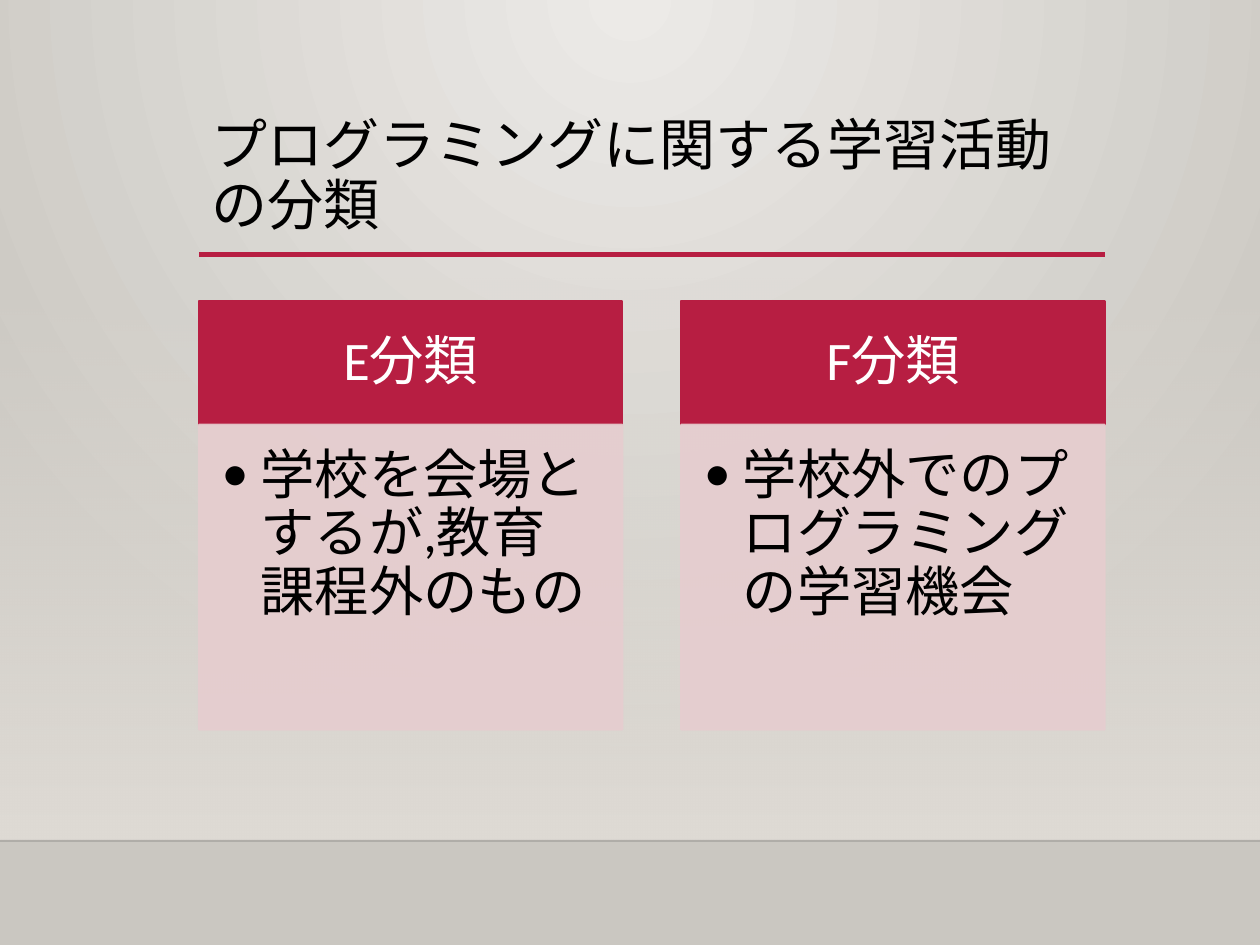
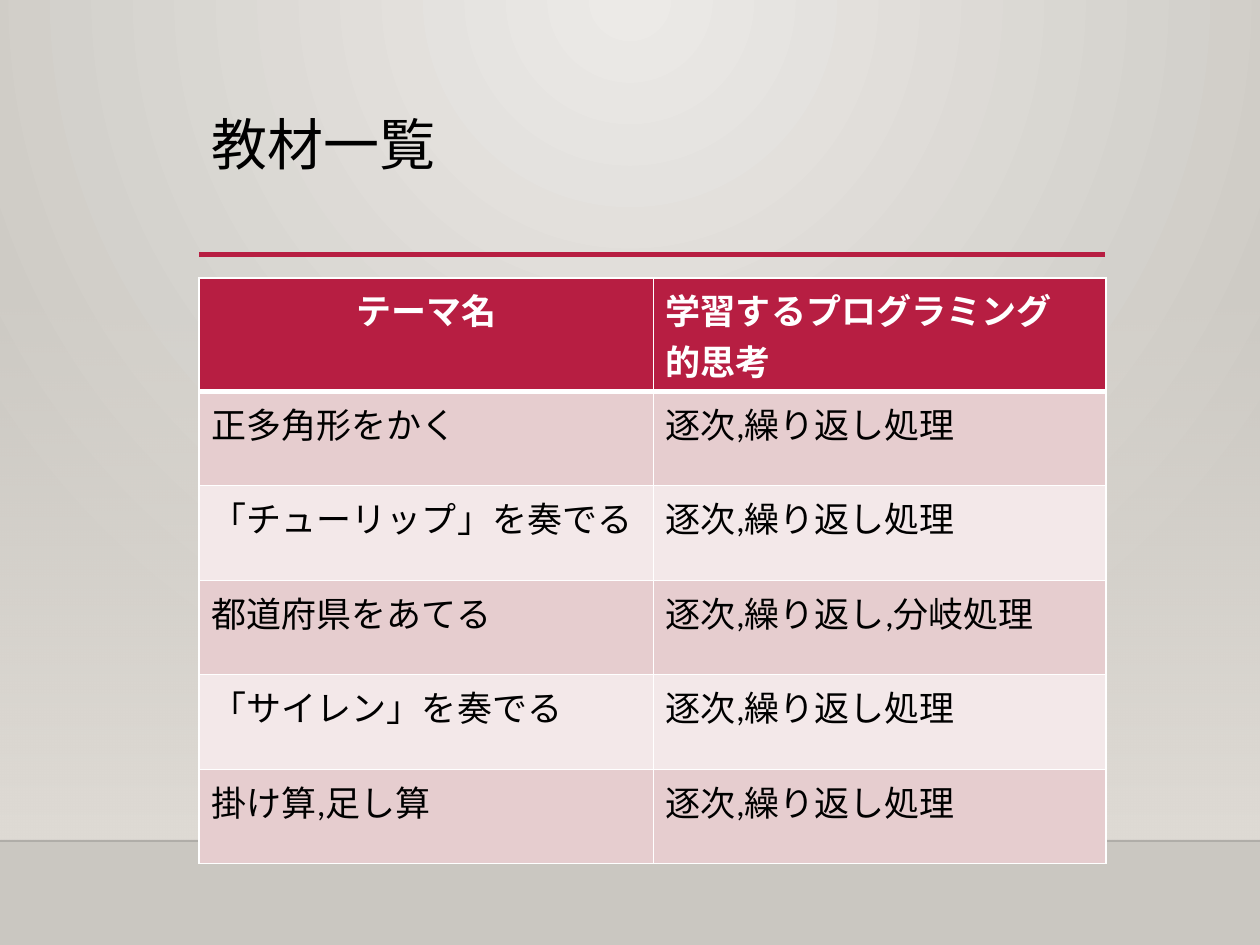
from dataclasses import dataclass

from lxml import etree
from pptx import Presentation
from pptx.dml.color import RGBColor
from pptx.enum.lang import MSO_LANGUAGE_ID
from pptx.enum.shapes import MSO_CONNECTOR, MSO_SHAPE
from pptx.enum.text import MSO_ANCHOR, PP_ALIGN
from pptx.oxml.ns import qn
from pptx.util import Inches, Pt

RECTANGLE = MSO_SHAPE.RECTANGLE
STRAIGHT = MSO_CONNECTOR.STRAIGHT
LEFT, CENTER = PP_ALIGN.LEFT, PP_ALIGN.CENTER
TOP, MIDDLE = MSO_ANCHOR.TOP, MSO_ANCHOR.MIDDLE
JAPANESE = MSO_LANGUAGE_ID.JAPANESE


@dataclass(frozen=True)
class Theme:
    font: str = "Calibri"
    title_size: int = 32
    card_size: int = 31
    table_size: int = 20
    line_spacing: float = 0.9
    accent: str = "B71E42"
    tint: str = "E6CDCF"
    pale_tint: str = "F3E8E9"
    ink: str = "000000"
    white: str = "FFFFFF"
    wall_center: str = "ECEAE7"
    wall_edge: str = "CAC7C1"
    glow: str = "DFDBD5"


THEME = Theme()
SLIDE_WIDTH, SLIDE_HEIGHT = Inches(10), Inches(7.5)


def across(percent):
    return round(SLIDE_WIDTH * percent / 100)


def down(percent):
    return round(SLIDE_HEIGHT * percent / 100)


CONTENT_LEFT, CONTENT_WIDTH = across(15.8), across(71.87)
CONTENT_RIGHT = CONTENT_LEFT + CONTENT_WIDTH
TITLE_TOP, TITLE_HEIGHT = down(11.73), down(15.33)
RULE_TOP = down(26.93)
GLOW_TOP, TABLE_TOP = down(29.33), down(29.4)
FLOOR_TOP = down(88.98)
CARD_TOP, CARD_WIDTH = down(31.87), across(33.6)
HEAD_HEIGHT, BODY_HEIGHT = down(13.07), down(32.27)
TABLE_COLUMNS = across(36.05), across(35.95)
HEADER_ROW_HEIGHT, ROW_HEIGHT = down(12), down(10)

HEAD_INSETS = 0.24, 0.14, 0.24, 0.14
BODY_INSETS = 0.18, 0.18, 0.24, 0.27


def rgb(color):
    return RGBColor.from_string(color)


def set_opacity(element, percent):
    """Apply an opacity to every colour inside the element."""
    for color in element.iter(qn("a:srgbClr")):
        etree.SubElement(color, qn("a:alpha"), val=str(percent * 1000))


def set_gradient(fill, start, end):
    fill.gradient()
    for stop, color in zip(fill.gradient_stops, (start, end)):
        stop.color.rgb = rgb(color)


def write(paragraph, text, size, color, align=LEFT, bold=False):
    paragraph.alignment = align
    span = paragraph.add_run()
    span.text = text
    span.font.name = THEME.font
    span.font.size = Pt(size)
    span.font.bold = bold
    span.font.color.rgb = rgb(color)
    span.font.language_id = JAPANESE


def add_bullet(paragraph, indent):
    properties = paragraph._p.get_or_add_pPr()
    properties.set("marL", str(indent))
    properties.set("indent", str(-indent))
    etree.SubElement(properties, qn("a:buFont"), typeface=THEME.font)
    etree.SubElement(properties, qn("a:buChar"), char="•")


def add_line(page, left, right, top, color, width, opacity=100):
    line = page.shapes.add_connector(STRAIGHT, left, top, right, top)
    line.line.color.rgb = rgb(color)
    line.line.width = Pt(width)
    properties = line._element.spPr
    if opacity < 100:
        set_opacity(properties, opacity)
    etree.SubElement(properties, qn("a:effectLst"))


def paint_background(page):
    """Light falling from the top centre of the slide."""
    set_gradient(page.background.fill, THEME.wall_center, THEME.wall_edge)
    gradient = next(page._element.iter(qn("a:gradFill")))
    gradient.remove(gradient.find(qn("a:lin")))
    circle = etree.SubElement(gradient, qn("a:path"))
    circle.set("path", "circle")
    etree.SubElement(circle, qn("a:fillToRect"),
                     l="43000", t="0", r="43000", b="100000")


def add_glow(page):
    glow = page.shapes.add_shape(
        RECTANGLE, 0, GLOW_TOP, SLIDE_WIDTH, FLOOR_TOP - GLOW_TOP)
    glow.shadow.inherit = False
    glow.line.fill.background()
    set_gradient(glow.fill, THEME.glow, THEME.glow)
    glow.fill.gradient_angle = 270
    set_opacity(next(glow._element.iter(qn("a:gs"))), 0)


def add_page(deck, title):
    page = deck.slides.add_slide(deck.slide_layouts[6])
    paint_background(page)
    add_glow(page)
    add_line(page, 0, SLIDE_WIDTH, FLOOR_TOP, THEME.ink, 1, 20)
    add_line(page, CONTENT_LEFT, CONTENT_RIGHT, RULE_TOP, THEME.accent, 2.5)
    box = page.shapes.add_textbox(
        CONTENT_LEFT, TITLE_TOP, CONTENT_WIDTH, TITLE_HEIGHT)
    box.text_frame.word_wrap = True
    para = box.text_frame.paragraphs[0]
    para.line_spacing = THEME.line_spacing
    write(para, title, THEME.title_size, THEME.ink)
    return page


def add_panel(page, left, top, height, color, insets, anchor):
    """Add a filled card part and return it with its first paragraph."""
    panel = page.shapes.add_shape(RECTANGLE, left, top, CARD_WIDTH, height)
    panel.shadow.inherit = False
    panel.fill.solid()
    panel.fill.fore_color.rgb = rgb(color)
    panel.line.color.rgb = rgb(color)
    panel.line.width = Pt(1.25)
    frame = panel.text_frame
    frame.word_wrap = True
    frame.vertical_anchor = anchor
    (frame.margin_left, frame.margin_top,
     frame.margin_right, frame.margin_bottom) = map(Inches, insets)
    para = frame.paragraphs[0]
    para.line_spacing = THEME.line_spacing
    return panel, para


def add_card(page, left, heading, description):
    head, para = add_panel(page, left, CARD_TOP, HEAD_HEIGHT,
                           THEME.accent, HEAD_INSETS, MIDDLE)
    write(para, heading, THEME.card_size, THEME.white, CENTER)
    body, para = add_panel(page, left, CARD_TOP + HEAD_HEIGHT, BODY_HEIGHT,
                           THEME.tint, BODY_INSETS, TOP)
    set_opacity(body._element.spPr, 90)
    add_bullet(para, Inches(0.31))
    write(para, description, THEME.card_size, THEME.ink)


def add_cards(page, cards):
    step = (CONTENT_WIDTH - CARD_WIDTH) // (len(cards) - 1)
    for index, (heading, description) in enumerate(cards):
        add_card(page, CONTENT_LEFT + index * step, heading, description)


def set_borders(cell, widths):
    """Draw white borders; widths maps the side letters L, R, T, B to points."""
    properties = cell._tc.get_or_add_tcPr()
    for index, (side, width) in enumerate(widths.items()):
        border = etree.Element(qn(f"a:ln{side}"), w=str(Pt(width)))
        fill = etree.SubElement(border, qn("a:solidFill"))
        etree.SubElement(fill, qn("a:srgbClr"), val=THEME.white)
        properties.insert(index, border)


def add_lesson_table(page, rows):
    heights = [HEADER_ROW_HEIGHT] + [ROW_HEIGHT] * (len(rows) - 1)
    table = page.shapes.add_table(
        len(rows), len(TABLE_COLUMNS), CONTENT_LEFT, TABLE_TOP,
        sum(TABLE_COLUMNS), sum(heights)).table
    table.horz_banding = False
    for column, width in zip(table.columns, TABLE_COLUMNS):
        column.width = width
    for row, height in zip(table.rows, heights):
        row.height = height
    for row_index, texts in enumerate(rows):
        header = row_index == 0
        band = THEME.tint if row_index % 2 else THEME.pale_tint
        for column_index, text in enumerate(texts):
            cell = table.cell(row_index, column_index)
            cell.fill.solid()
            cell.fill.fore_color.rgb = rgb(THEME.accent if header else band)
            set_borders(cell, {"L": 1, "R": 1,
                               "T": 3 if row_index == 1 else 1,
                               "B": 3 if header else 1})
            write(cell.text_frame.paragraphs[0], text, THEME.table_size,
                  THEME.white if header else THEME.ink,
                  CENTER if header and column_index == 0 else LEFT, header)


def main():
    deck = Presentation()
    deck.slide_width, deck.slide_height = SLIDE_WIDTH, SLIDE_HEIGHT

    page = add_page(deck, "プログラミングに関する学習活動の分類")
    add_cards(page, [
        ("E分類", "学校を会場とするが,教育課程外のもの"),
        ("F分類", "学校外でのプログラミングの学習機会"),
    ])

    page = add_page(deck, "教材一覧")
    loop = "逐次,繰り返し処理"
    add_lesson_table(page, [
        ("テーマ名", "学習するプログラミング　的思考"),
        ("正多角形をかく", loop),
        ("「チューリップ」を奏でる", loop),
        ("都道府県をあてる", "逐次,繰り返し,分岐処理"),
        ("「サイレン」を奏でる", loop),
        ("掛け算,足し算", loop),
    ])

    deck.save("out.pptx")


if __name__ == "__main__":
    main()
